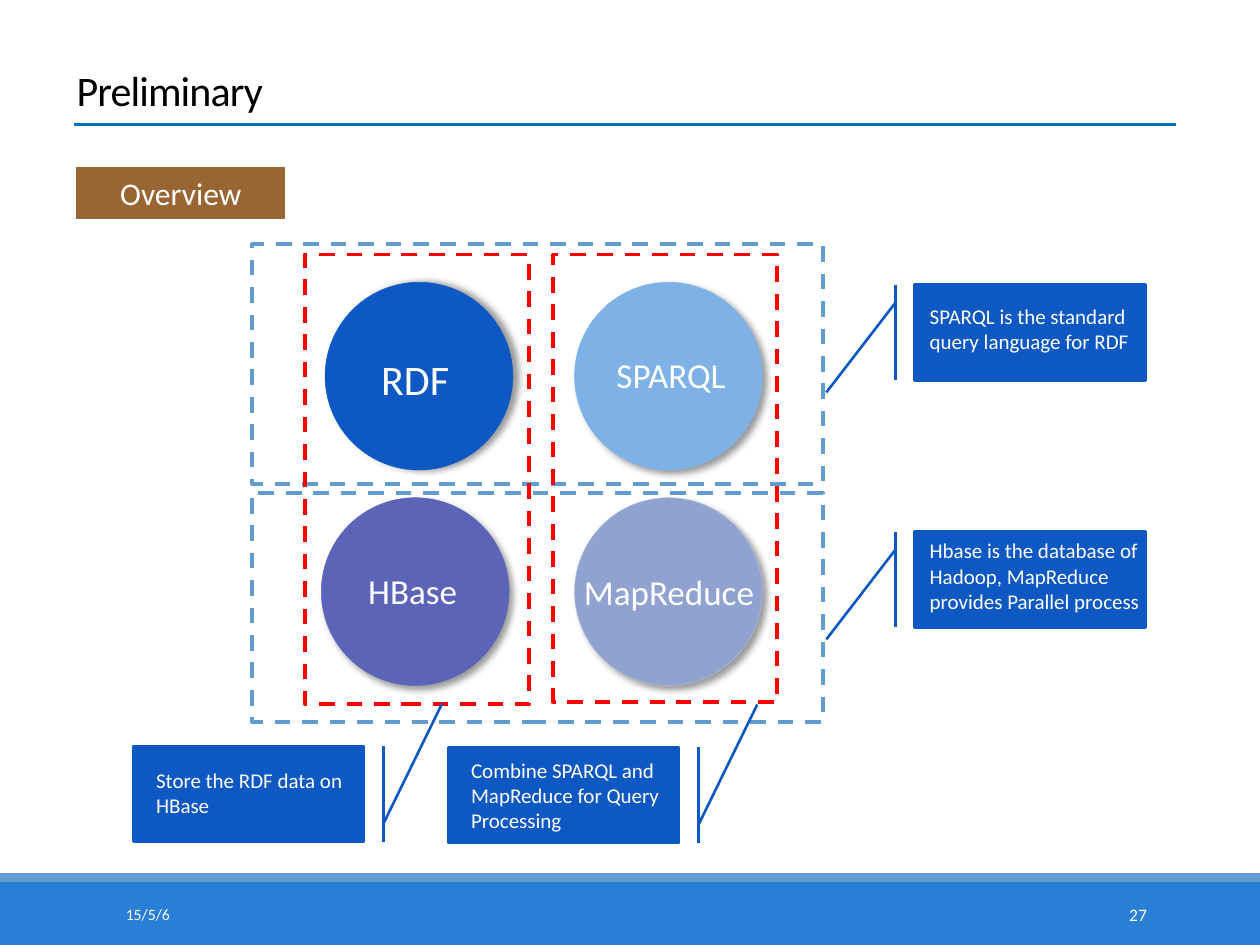
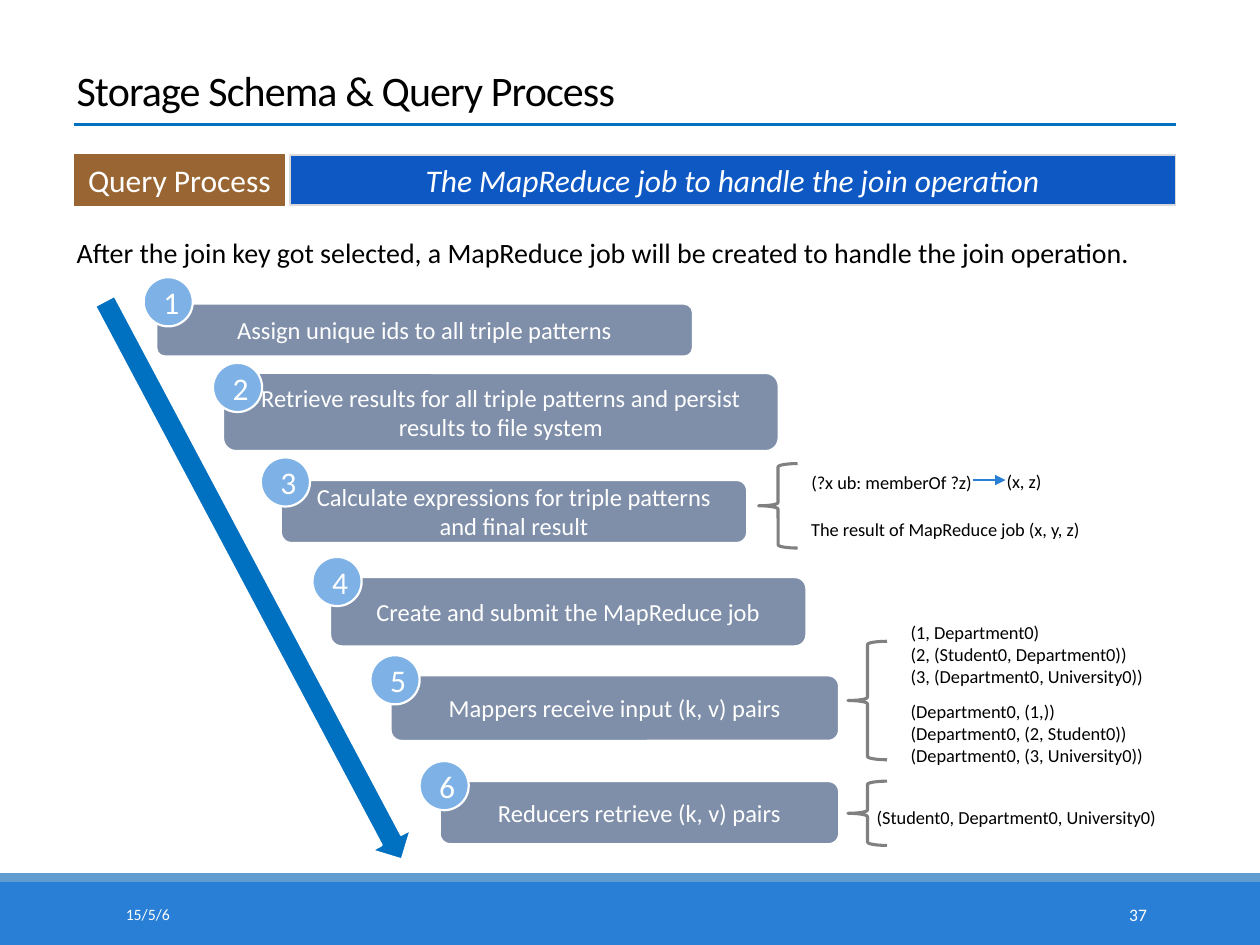
from lxml.etree import SubElement
from pptx import Presentation
from pptx.dml.color import RGBColor
from pptx.enum.dml import MSO_LINE
from pptx.enum.shapes import MSO_CONNECTOR, MSO_SHAPE
from pptx.enum.text import MSO_ANCHOR, PP_ALIGN
from pptx.oxml.ns import qn
from pptx.util import Inches, Pt

FONT = "Calibri"
WHITE, BLACK, RED = "FFFFFF", "000000", "FF0000"
BLUE, LIGHT_BLUE, FOOTER_BLUE, BAND_BLUE = "0E58C4", "7EB2E6", "297FD5", "629DD1"
RULE_BLUE, SLATE, BROWN, BRACE_GREY = "0070C0", "7F8FA9", "996633", "808080"
CALLOUT = MSO_SHAPE.LINE_CALLOUT_1_BORDER_AND_ACCENT_BAR


def add_item(slide, kind, at, fill=None, line=None, width=1.0, dash=None, rotation=0):
    """Add a preset shape, a straight connector or, if kind is None, a text box."""
    left, top, across, down = (Inches(value) for value in at)
    if kind is None:
        return slide.shapes.add_textbox(left, top, across, down)
    is_connector = isinstance(kind, MSO_CONNECTOR)
    if is_connector:
        shape = slide.shapes.add_connector(kind, left, top, left + across, top + down)
    else:
        shape = slide.shapes.add_shape(kind, left, top, across, down)
        shape.shadow.inherit = False
        shape.rotation = rotation
        if fill:
            shape.fill.solid()
            shape.fill.fore_color.rgb = RGBColor.from_string(fill)
        else:
            shape.fill.background()
    if line:
        shape.line.color.rgb = RGBColor.from_string(line)
        shape.line.width = Pt(width)
        if dash:
            shape.line.dash_style = dash
    else:
        shape.line.fill.background()
    if is_connector:
        SubElement(shape._element.spPr, qn("a:effectLst"))
    return shape


def write(shape, text, size=12, color=WHITE, align=PP_ALIGN.LEFT, anchor=MSO_ANCHOR.TOP,
          italic=False, wrap=True, line_spacing=None, tracking=None):
    frame = shape.text_frame
    frame.word_wrap = wrap
    frame.vertical_anchor = anchor
    for index, words in enumerate(text.split("\n")):
        paragraph = frame.add_paragraph() if index else frame.paragraphs[0]
        paragraph.alignment = align
        if line_spacing:
            paragraph.line_spacing = line_spacing
        run = paragraph.add_run()
        run.text = words
        run.font.name = FONT
        run.font.size = Pt(size)
        run.font.italic = italic
        run.font.color.rgb = RGBColor.from_string(color)
        if tracking:
            run.font._element.set("spc", str(tracking))


presentation = Presentation()
presentation.slide_width = Inches(10)
presentation.slide_height = Inches(7.5)
centred = {"align": PP_ALIGN.CENTER, "anchor": MSO_ANCHOR.MIDDLE}

# What both slides share
slides = []
for title, number in [("Preliminary", "27"), ("Storage Schema & Query Process", "37")]:
    slide = presentation.slides.add_slide(presentation.slide_layouts[6])
    slides.append(slide)
    add_item(slide, MSO_SHAPE.RECTANGLE, (0, 7, 10, 0.5), FOOTER_BLUE)
    add_item(slide, MSO_SHAPE.RECTANGLE, (0, 6.93, 10, 0.07), BAND_BLUE)
    write(add_item(slide, None, (0.51, 0.36, 7.5, 0.6)), title, size=24, color=BLACK,
          anchor=MSO_ANCHOR.BOTTOM, line_spacing=0.85, tracking=-50)
    write(add_item(slide, None, (0.9, 7.06, 2.03, 0.4)), "15/5/6", size=9,
          anchor=MSO_ANCHOR.MIDDLE)
    write(add_item(slide, None, (8.12, 7.06, 1.08, 0.4)), number, size=10,
          align=PP_ALIGN.RIGHT, anchor=MSO_ANCHOR.MIDDLE)
    add_item(slide, MSO_CONNECTOR.STRAIGHT, (0.59, 0.99, 8.74, 0), line=RULE_BLUE, width=1.5)
overview, query_process = slides

# Overview: four technologies
write(add_item(overview, MSO_SHAPE.RECTANGLE, (0.61, 1.33, 1.65, 0.4), BROWN, BROWN, 0.75),
      "Overview", size=18, **centred)

technologies = [
    ("RDF", 24, 2.58, 2.24, BLUE, BLUE, 0, (2.92, 2.76, 0.75, 0.46)),
    ("HBase", 20, 2.55, 3.95, "5C64B7", "5C64B7", 45, (2.82, 4.47, 0.91, 0.4)),
    ("SPARQL", 20, 4.56, 2.24, LIGHT_BLUE, LIGHT_BLUE, 45, (4.72, 2.76, 1.21, 0.44)),
    ("MapReduce", 20, 4.56, 3.95, "90A2CF", "B5C1DF", 45, (4.44, 4.48, 1.74, 0.4)),
]
for name, size, left, top, fill, line, direction, label_at in technologies:
    circle = add_item(overview, MSO_SHAPE.OVAL, (left, top, 1.49, 1.49), fill, line, 0.25)
    effects = circle._element.spPr.find(qn("a:effectLst"))
    shadow = SubElement(effects, qn("a:outerShdw"), blurRad=str(Pt(4)), dist=str(Pt(3)),
                        dir=str(direction * 60000), algn="tl", rotWithShape="0")
    shadow_color = SubElement(shadow, qn("a:srgbClr"), val=BLACK)
    SubElement(shadow_color, qn("a:alpha"), val="40000")
    write(add_item(overview, None, label_at), name, size=size,
          align=PP_ALIGN.CENTER, wrap=False)

# Each dashed frame pairs two technologies; its callout says how they relate
pairs = [
    ((2, 1.94, 4.53, 1.9), BAND_BLUE, (7.26, 2.26), 0, (7.28, 2.36, 1.81, 0.5),
     "SPARQL is the standard query language for RDF"),
    ((2, 3.91, 4.53, 1.82), BAND_BLUE, (7.26, 4.22), 0, (7.28, 4.22, 1.92, 0.71),
     "Hbase is the database of Hadoop, MapReduce provides Parallel process"),
    ((2.42, 2.02, 1.78, 3.57), RED, (1.06, 5.92), 180, (1.14, 6.04, 1.81, 0.5),
     "Store the RDF data on HBase"),
    ((4.39, 2.02, 1.78, 3.55), RED, (3.56, 5.93), 180, (3.64, 5.96, 1.81, 0.71),
     "Combine SPARQL and MapReduce for Query Processing"),
]
for frame_at, frame_color, callout_at, rotation, note_at, note in pairs:
    add_item(overview, MSO_SHAPE.RECTANGLE, frame_at, line=frame_color, width=2.25,
             dash=MSO_LINE.DASH)
    callout = add_item(overview, CALLOUT, (*callout_at, 1.83, 0.76), BLUE, BLUE, 1.5,
                       rotation=rotation)
    if rotation:
        callout.adjustments[2] = 1.447
        callout.adjustments[3] = -0.339
    write(add_item(overview, None, note_at), note)

# Query process: headings
write(add_item(query_process, MSO_SHAPE.RECTANGLE, (0.59, 1.23, 1.67, 0.4), BROWN, BROWN, 0.75),
      "Query Process", size=18, wrap=False, **centred)
write(add_item(query_process, MSO_SHAPE.RECTANGLE, (2.3, 1.23, 7.03, 0.4), BLUE, "D9D9D9"),
      "The MapReduce job to handle the join operation", size=18, italic=True, **centred)
write(add_item(query_process, None, (0.51, 1.82, 9.21, 0.37)),
      "After the join key got selected, a MapReduce job will be created to handle "
      "the join operation.", size=16, color=BLACK)

# Six numbered steps along the arrow
add_item(query_process, MSO_SHAPE.RIGHT_ARROW, (-0.5, 4.43, 5.02, 0.35), RULE_BLUE, WHITE, 1.25,
         rotation=62)
steps = [
    ((1.24, 2.41, 4.26, 0.42), (1.14, 2.2), "Assign unique ids to all triple patterns"),
    ((1.77, 2.96, 4.41, 0.62), (1.69, 2.88),
     "Retrieve results for all triple patterns and persist results to file system"),
    ((2.23, 3.81, 3.7, 0.5), (2.07, 3.63),
     "Calculate expressions for triple patterns and final result"),
    ((2.62, 4.58, 3.78, 0.55), (2.48, 4.42), "Create and submit the MapReduce job"),
    ((3.1, 5.36, 3.56, 0.52), (2.94, 5.2), "Mappers receive input (k, v) pairs"),
    ((3.49, 6.2, 3.17, 0.5), (3.33, 6.04), "Reducers retrieve (k, v) pairs"),
]
for number, (bar_at, badge_at, text) in enumerate(steps, start=1):
    bar = add_item(query_process, MSO_SHAPE.ROUNDED_RECTANGLE, bar_at, SLATE, WHITE, 1.25)
    write(bar, text, size=14, **centred)
    badge = add_item(query_process, MSO_SHAPE.OVAL, (*badge_at, 0.39, 0.39),
                     LIGHT_BLUE, WHITE, 1.25)
    write(badge, str(number), size=18, **centred)

# Examples beside steps 3, 5 and 6
for left, top, height in [(6.02, 3.68, 0.67), (6.73, 5.09, 0.94), (6.73, 6.2, 0.51)]:
    add_item(query_process, MSO_SHAPE.LEFT_BRACE, (left, top, 0.31, height),
             line=BRACE_GREY, width=1.75)

examples = [
    ((6.34, 3.69, 1.59, 0.28), "(?x ub: memberOf ?z)"),
    ((7.89, 3.68, 1.59, 0.28), "(x, z)"),
    ((6.34, 4.06, 2.6, 0.28), "The result of MapReduce job (x, y, z)"),
    ((7.13, 4.88, 2.36, 0.63),
     "(1, Department0)\n(2, (Student0, Department0))\n(3, (Department0, University0))"),
    ((7.13, 5.51, 2.36, 0.63),
     "(Department0, (1,))\n(Department0, (2, Student0))\n(Department0, (3, University0))"),
    ((6.86, 6.35, 2.64, 0.28), "(Student0, Department0, University0)"),
]
for example_at, text in examples:
    write(add_item(query_process, None, example_at), text, size=10.5, color=BLACK)

mapping_arrow = add_item(query_process, MSO_CONNECTOR.STRAIGHT, (7.72, 3.81, 0.26, 0),
                         line=FOOTER_BLUE, width=1.5)
SubElement(mapping_arrow.line._get_or_add_ln(), qn("a:tailEnd"), type="triangle")

presentation.save("out.pptx")
